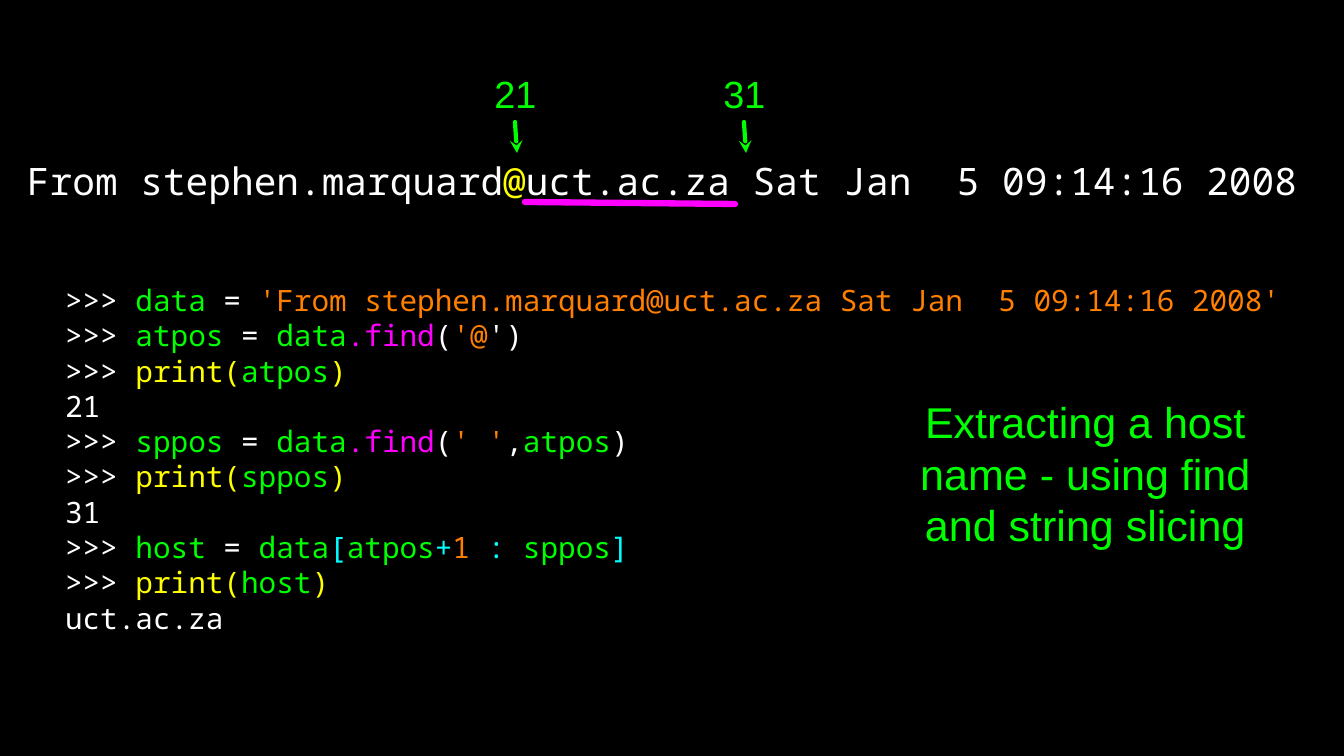
from dataclasses import dataclass

import lxml.etree
import pptx
import pptx.dml.color
import pptx.enum.shapes
import pptx.enum.text
import pptx.oxml.ns
import pptx.util

EMU_PER_PIXEL = 914400 / 75.6
MONO = "Noto Sans Mono"
SANS = "Arial"
WHITE, GREEN, YELLOW = "FFFFFF", "00FF00", "FFFF00"
ORANGE, MAGENTA, CYAN = "FF7F00", "FF00FF", "00FFFF"

Piece = tuple[str, str]


@dataclass(frozen=True)
class TextBlock:
    left: int
    top: int
    width: int
    height: int
    size: int
    font: str
    lines: list[list[Piece]]
    centred: bool = False


@dataclass(frozen=True)
class Stroke:
    start: tuple[int, int]
    end: tuple[int, int]
    color: str
    weight: int
    arrow: bool = False


def px(value: int) -> pptx.util.Emu:
    return pptx.util.Emu(round(value * EMU_PER_PIXEL))


def rgb(value: str) -> pptx.dml.color.RGBColor:
    return pptx.dml.color.RGBColor.from_string(value)


def draw_text(slide, block: TextBlock) -> None:
    frame = slide.shapes.add_textbox(
        px(block.left), px(block.top), px(block.width), px(block.height)
    ).text_frame
    frame.word_wrap = True
    frame.vertical_anchor = pptx.enum.text.MSO_ANCHOR.MIDDLE
    frame.margin_left = frame.margin_right = frame.margin_top = frame.margin_bottom = 0
    align = pptx.enum.text.PP_ALIGN
    for index, pieces in enumerate(block.lines):
        line = frame.add_paragraph() if index else frame.paragraphs[0]
        line.alignment = align.CENTER if block.centred else align.LEFT
        for words, color in pieces:
            run = line.add_run()
            run.text = words
            run.font.size = pptx.util.Pt(block.size)
            run.font.name = block.font
            run.font.color.rgb = rgb(color)


def draw_stroke(slide, stroke: Stroke) -> None:
    connector = slide.shapes.add_connector(
        pptx.enum.shapes.MSO_CONNECTOR.STRAIGHT,
        *map(px, stroke.start + stroke.end),
    )
    connector.line.color.rgb = rgb(stroke.color)
    connector.line.width = pptx.util.Pt(stroke.weight)
    qn = pptx.oxml.ns.qn
    properties = connector._element.spPr
    outline = properties.find(qn("a:ln"))
    outline.set("cap", "rnd")
    lxml.etree.SubElement(outline, qn("a:round"))
    if stroke.arrow:
        lxml.etree.SubElement(outline, qn("a:headEnd"), type="stealth")
    lxml.etree.SubElement(properties, qn("a:effectLst"))


def prompt(*pieces: Piece) -> list[Piece]:
    return [(">>> ", WHITE), *pieces]


def assign(name: str, *value: Piece) -> list[Piece]:
    return prompt((name, GREEN), (" = ", WHITE), *value)


def show(name: str, result: str) -> list[list[Piece]]:
    return [
        prompt(("print(", YELLOW), (name, GREEN), (")", YELLOW)),
        [(result, WHITE)],
    ]


FIND: list[Piece] = [("data", GREEN), (".find", MAGENTA), ("(", WHITE)]
MAIL_HOST = "uct.ac.za Sat Jan  5 09:14:16 2008"
SENDER = "From stephen.marquard"

session = [
    assign("data", (f"'{SENDER}@{MAIL_HOST}'", ORANGE)),
    assign("atpos", *FIND, ("'@", ORANGE), ("')", WHITE)),
    *show("atpos", "21"),
    assign("sppos", *FIND, ("' '", ORANGE), (",", WHITE), ("atpos", GREEN), (")", WHITE)),
    *show("sppos", "31"),
    assign(
        "host", ("data", GREEN), ("[", CYAN), ("atpos", GREEN), ("+", CYAN),
        ("1", ORANGE), (" : ", CYAN), ("sppos", GREEN), ("]", CYAN),
    ),
    *show("host", "uct.ac.za"),
]
mail_line = [(SENDER, WHITE), ("@", YELLOW), (MAIL_HOST, WHITE)]
heading = [("Extracting a host name - using find and string slicing", GREEN)]

deck = pptx.Presentation()
deck.slide_width, deck.slide_height = px(1344), px(756)
slide = deck.slides.add_slide(deck.slide_layouts[6])
slide.background.fill.solid()
slide.background.fill.fore_color.rgb = rgb("000000")

draw_text(slide, TextBlock(65, 261, 1255, 395, 28, MONO, session))
draw_text(slide, TextBlock(27, 152, 1288, 56, 36, MONO, [mail_line]))
for position, left in (("21", 492), ("31", 721)):
    draw_text(slide, TextBlock(left, 68, 47, 51, 36, SANS, [[(position, GREEN)]], True))
    draw_stroke(slide, Stroke((left + 25, 153), (left + 23, 122), GREEN, 4, True))
draw_stroke(slide, Stroke((525, 202), (735, 204), MAGENTA, 6))
draw_text(slide, TextBlock(901, 395, 369, 156, 41, SANS, [heading], True))

deck.save("out.pptx")
